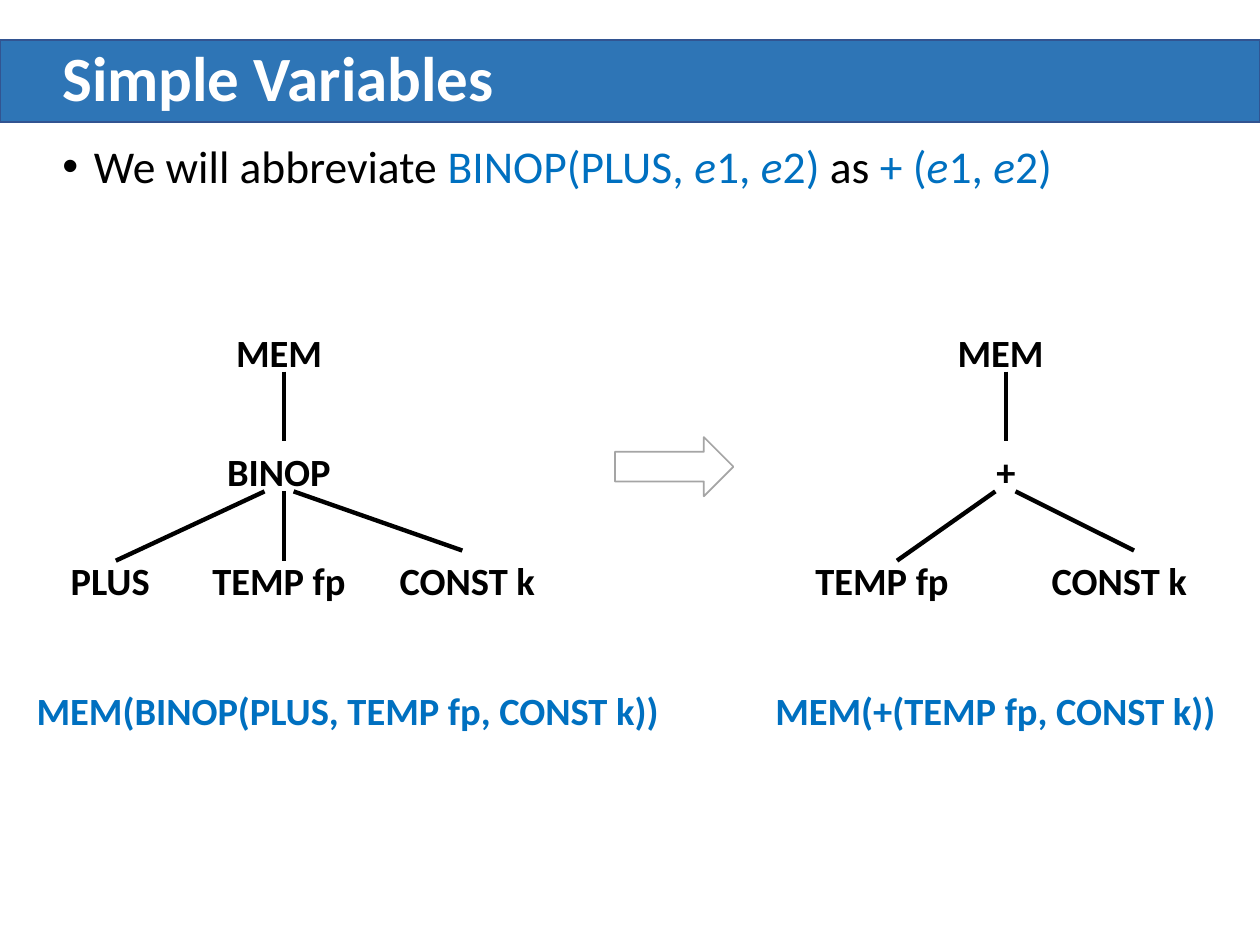
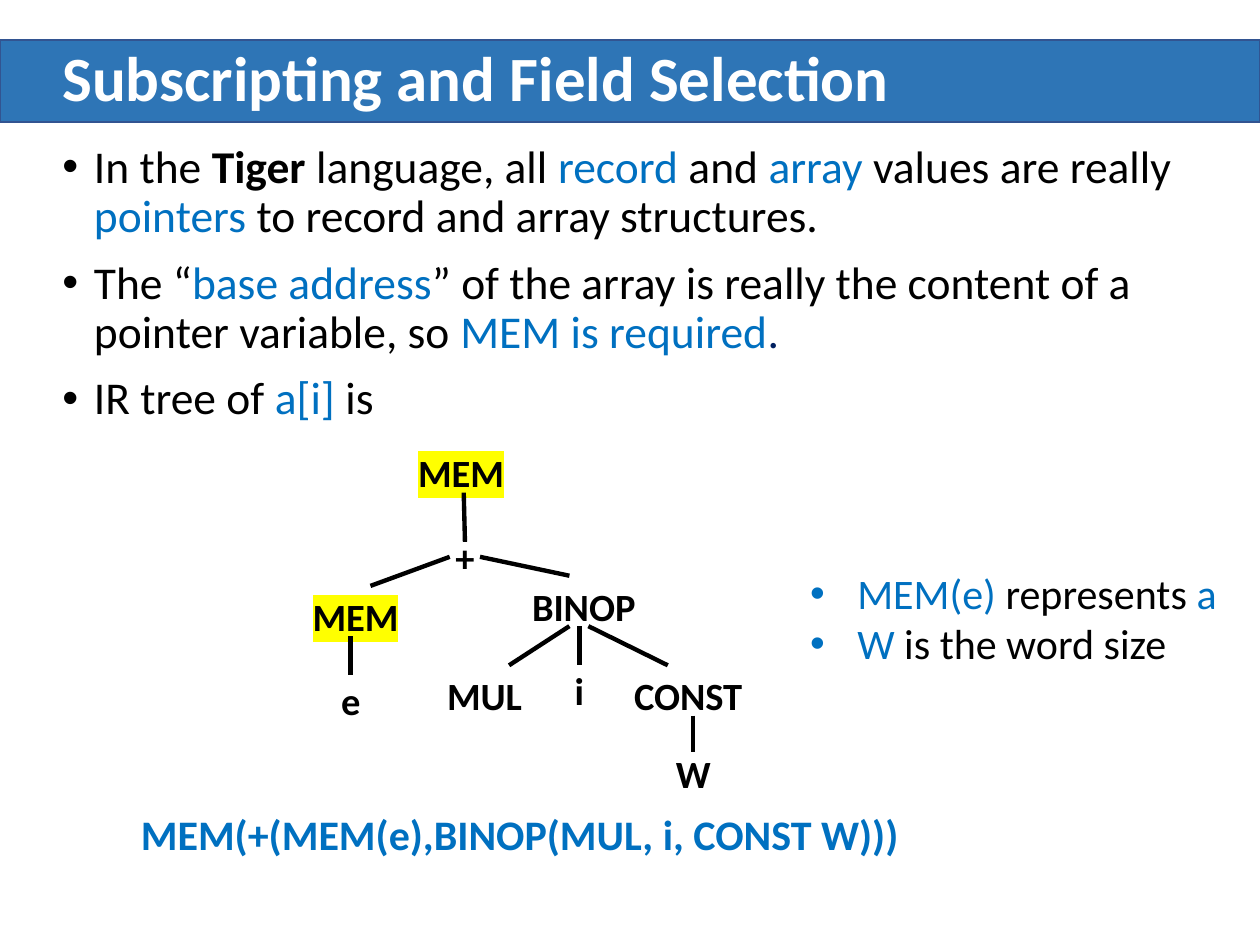
from dataclasses import dataclass

from lxml.etree import SubElement
from pptx import Presentation
from pptx.dml.color import RGBColor
from pptx.enum.shapes import MSO_CONNECTOR, MSO_SHAPE
from pptx.enum.text import MSO_ANCHOR, PP_ALIGN
from pptx.oxml import parse_xml
from pptx.oxml.ns import nsdecls, qn
from pptx.util import Pt


@dataclass(frozen=True)
class Theme:
    font: str = "Calibri"
    ink: str = "000000"
    paper: str = "FFFFFF"
    accent: str = "0070C0"
    navy: str = "002060"
    band: str = "2E75B6"
    band_edge: str = "325491"
    arrow_edge: str = "A5A5A5"
    marker: str = "FFFF00"
    title_size: float = 36
    body_size: float = 26
    note_size: float = 24
    node_size: float = 22
    edge_width: float = 2.5
    outline_width: float = 1


class Lecture:
    def __init__(self, theme):
        self.theme = theme
        self.deck = Presentation()
        self.deck.slide_width, self.deck.slide_height = Pt(720), Pt(540)
        self.page = None

    def start_page(self, title):
        self.page = self.deck.slides.add_slide(self.deck.slide_layouts[6])
        theme = self.theme
        self.shape(MSO_SHAPE.RECTANGLE, 0, 22.7, 720, 47, theme.band, theme.band_edge)
        para = self.text_box(28.6, 22.7, 665, 47, anchor=MSO_ANCHOR.MIDDLE).paragraphs[0]
        para.line_spacing = 0.9
        self.span(para, title, theme.title_size, theme.paper, bold=True)

    def shape(self, kind, left, top, width, height, fill, edge):
        shape = self.page.shapes.add_shape(kind, Pt(left), Pt(top), Pt(width), Pt(height))
        shape.shadow.inherit = False
        shape.fill.solid()
        shape.fill.fore_color.rgb = RGBColor.from_string(fill)
        shape.line.color.rgb = RGBColor.from_string(edge)
        shape.line.width = Pt(self.theme.outline_width)

    def text_box(self, left, top, width, height, wrap=True, anchor=MSO_ANCHOR.TOP):
        box = self.page.shapes.add_textbox(Pt(left), Pt(top), Pt(width), Pt(height))
        frame = box.text_frame
        frame.word_wrap = wrap
        frame.vertical_anchor = anchor
        return frame

    def span(self, para, text, size, color, bold=False, italic=False):
        span = para.add_run()
        span.text = text
        span.font.name = self.theme.font
        span.font.size = Pt(size)
        span.font.bold = bold
        span.font.italic = italic
        span.font.color.rgb = RGBColor.from_string(color)
        return span

    def bullets(self, left, top, width, height, items, size, indent, line_spacing=1.0, gap=0):
        frame = self.text_box(left, top, width, height)
        for index, item in enumerate(items):
            para = frame.add_paragraph() if index else frame.paragraphs[0]
            para.line_spacing = line_spacing
            para.space_before = Pt(gap)
            props = para._p.get_or_add_pPr()
            props.set("marL", str(Pt(indent)))
            props.set("indent", str(-Pt(indent)))
            SubElement(props, qn("a:buFont"), typeface="Arial")
            SubElement(props, qn("a:buChar"), char="•")
            for text, color, *styles in item:
                self.span(para, text, size, color, "bold" in styles, "italic" in styles)

    def body(self, height, items):
        self.bullets(28.6, 78.8, 665, height, items, self.theme.body_size, 18, 0.9, 10)

    def label(self, text, center_x, center_y, width=74, color=None, marked=False):
        height = 33.8
        frame = self.text_box(center_x - width / 2, center_y - height / 2, width, height,
                              wrap=False, anchor=MSO_ANCHOR.MIDDLE)
        frame.margin_left = frame.margin_right = 0
        para = frame.paragraphs[0]
        para.alignment = PP_ALIGN.CENTER
        span = self.span(para, text, self.theme.node_size, color or self.theme.ink, bold=True)
        if marked:
            highlight = parse_xml(f'<a:highlight {nsdecls("a")}>'
                                  f'<a:srgbClr val="{self.theme.marker}"/></a:highlight>')
            span._r.rPr.find(qn("a:latin")).addprevious(highlight)

    def edge(self, x1, y1, x2, y2):
        edge = self.page.shapes.add_connector(MSO_CONNECTOR.STRAIGHT, Pt(x1), Pt(y1), Pt(x2), Pt(y2))
        edge.line.color.rgb = RGBColor.from_string(self.theme.ink)
        edge.line.width = Pt(self.theme.edge_width)
        SubElement(edge._element.spPr, qn("a:effectLst"))

    def tree(self, nodes, edges):
        for node in nodes:
            self.label(*node)
        for ends in edges:
            self.edge(*ends)

    def marked_labels(self, *nodes):
        for node in nodes:
            self.label(*node, marked=True)


def simple_variables(lecture):
    theme = lecture.theme
    ink, accent = theme.ink, theme.accent
    lecture.start_page("Simple Variables")

    def operands(opening):
        return [(opening, accent), ("e", accent, "italic"), ("1, ", accent),
                ("e", accent, "italic"), ("2)", accent)]

    lecture.body(407.5, [[("We will abbreviate ", ink), *operands("BINOP(PLUS, "),
                          (" as ", ink), *operands("+ (")]])

    root_y, operator_y, leaf_y, formula_y = 201.2, 269, 331.6, 405.7
    root_foot, operator_head, operator_foot, leaf_head, const_head = 212.4, 252, 280.8, 320.4, 314.6
    long_leaf = 90
    lecture.tree(
        [("MEM", 159.4, root_y), ("BINOP", 159.4, operator_y), ("PLUS", 63, leaf_y),
         ("TEMP fp", 159.4, leaf_y, long_leaf), ("CONST k", 267, leaf_y, long_leaf)],
        [(162.3, root_foot, 162.3, operator_head), (162.3, operator_foot, 162.3, leaf_head),
         (151.2, operator_foot, 66.2, leaf_head), (167.8, operator_foot, 264.2, const_head)])
    lecture.tree(
        [("MEM", 571.7, root_y), ("+", 574.8, operator_y),
         ("TEMP fp", 504, leaf_y, long_leaf), ("CONST k", 639.6, leaf_y, long_leaf)],
        [(574.8, root_foot, 574.8, operator_head), (568.8, operator_foot, 512.6, leaf_head),
         (580.3, operator_foot, 648, const_head)])
    lecture.label("MEM(BINOP(PLUS, TEMP fp, CONST k))", 198.7, formula_y, 374.4, accent)
    lecture.label("MEM(+(TEMP fp, CONST k))", 568.8, formula_y, 266.4, accent)
    lecture.shape(MSO_SHAPE.RIGHT_ARROW, 351.4, 249.8, 67.7, 33.8, theme.paper, theme.arrow_edge)


def subscripting(lecture):
    theme = lecture.theme
    ink, accent = theme.ink, theme.accent
    lecture.start_page("Subscripting and Field Selection")
    lecture.body(174, [
        [("In the ", ink), ("Tiger ", ink, "bold"), ("language, all ", ink), ("record ", accent),
         ("and ", ink), ("array ", accent), ("values are really ", ink), ("pointers ", accent),
         ("to record and array structures.", ink)],
        [("The “", ink), ("base address", accent),
         ("” of the array is really the content of a pointer variable, so ", ink),
         ("MEM is required", accent), (".", theme.navy)],
        [("IR tree of ", ink), ("a[i] ", accent), ("is", ink)]])
    lecture.bullets(455.8, 320.7, 257.8, 65.5, [
        [("MEM(e) ", accent), ("represents ", ink), ("a", accent)],
        [("W ", accent), ("is the word size", ink)]], theme.note_size, 27)

    formula = lecture.text_box(73.4, 458.6, 452.2, 36, wrap=False)
    lecture.span(formula.paragraphs[0], "MEM(+(MEM(e),BINOP(MUL, i, CONST W)))",
                 theme.note_size, accent, bold=True)

    lecture.marked_labels(("MEM", 263.5, 269.6), ("MEM", 203.2, 352))
    plus_side, binop_foot, leaf_head = 318.2, 357.8, 380.2
    lecture.tree(
        [("+", 265.7, 318.2), ("BINOP", 333.6, 346.3), ("e", 200.5, 400.3), ("MUL", 276.8, 397.4),
         ("i", 331, 394.5), ("CONST", 393.2, 397.4), ("W", 396.2, 441.7)],
        [(265, 281.5, 265.7, 309.6),
         (257, plus_side, 211.7, 334.8), (274.3, plus_side, 325.4, 329),
         (200.2, 363.6, 200.2, 385.9),
         (331.2, binop_foot, 331.2, leaf_head), (325.4, binop_foot, 290.9, leaf_head),
         (336.2, binop_foot, 381.6, leaf_head),
         (396, 409, 396, 429.8)])


def main():
    lecture = Lecture(Theme())
    simple_variables(lecture)
    subscripting(lecture)
    lecture.deck.save("out.pptx")


if __name__ == "__main__":
    main()
